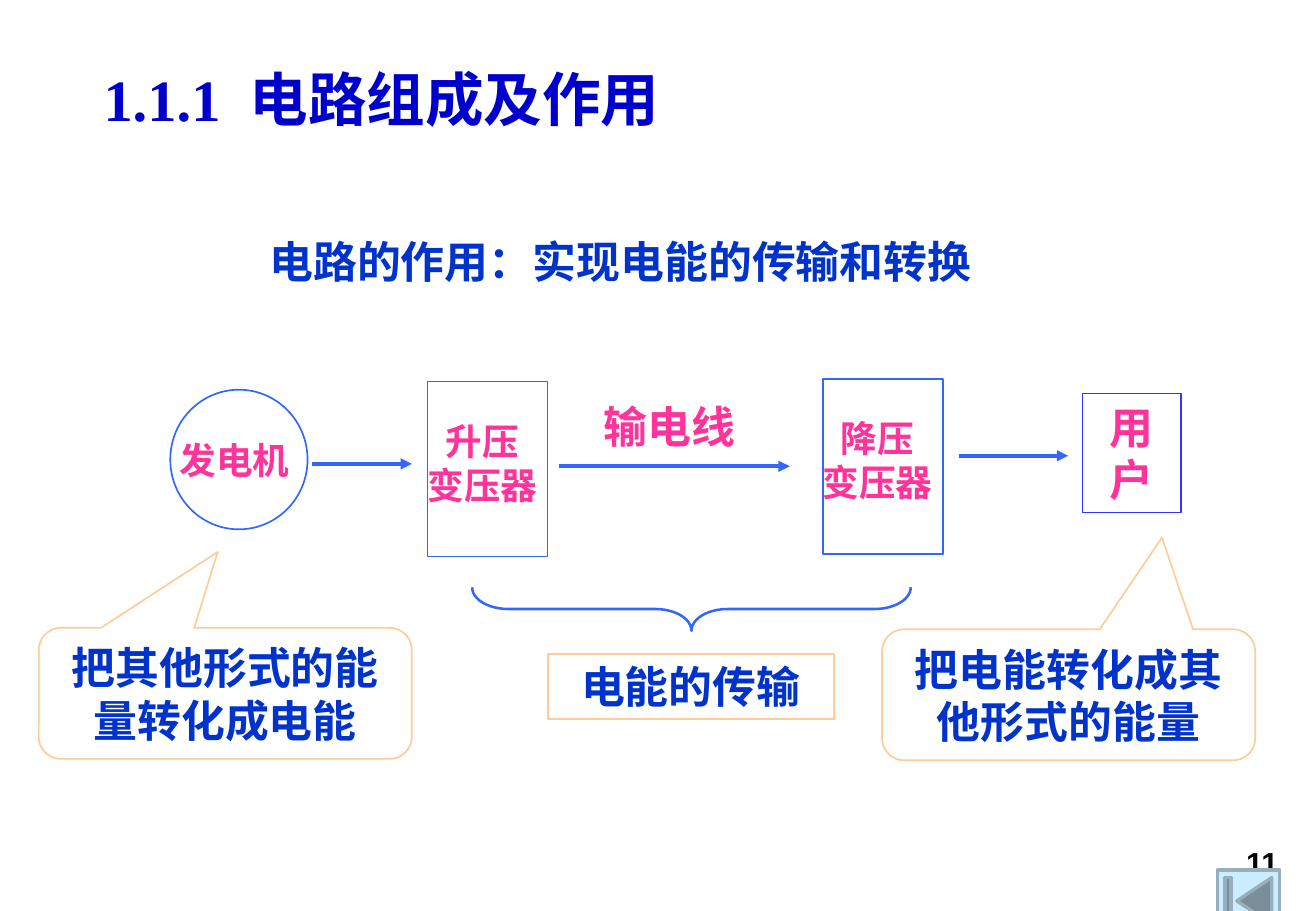
from pptx import Presentation
from pptx.dml.color import RGBColor
from pptx.enum.shapes import MSO_CONNECTOR, MSO_SHAPE as Preset
from pptx.enum.text import MSO_ANCHOR as Anchor, PP_ALIGN as Align
from pptx.oxml.ns import qn
from pptx.util import Cm, Pt
from lxml.etree import SubElement

NAVY, BLUE, PINK = "0000CC", "0033CC", "FF3399"
SKY, ROYAL, PEACH = "3366FF", "3333FF", "FFCC99"

# Boxes are (left, top, width, height) in cm
HEADING = ("1.1.1", "电路组成及作用")
HEADING_BOX = (1.91, 1.19, 18.14, 1.73)

# text, box, size, colour, alignment, font
LABELS = [
    ("11", (19.38, 17.53, 7.59, 1.02), 18, "000000", Align.RIGHT, "Arial"),
    ("电路的作用：实现电能的传输和转换", (5.38, 4.78, 16.61, 1.37), 26, BLUE,
     Align.LEFT, "Times New Roman"),
    ("输电线", (12.17, 8.23, 3.66, 1.37), 26, PINK, Align.CENTER, "Times New Roman"),
]

# Text of the narrow stages does not wrap and sits slightly up or left:
# text, preset, box, right inset, bottom inset
NARROW_STAGES = [
    ("发电机", Preset.OVAL, (3.56, 8.15, 2.87, 2.92), 0.18, 0),
    ("升压\v变压器", Preset.RECTANGLE, (8.94, 7.98, 2.51, 3.66), 0.22, 0.28),
    ("降压\v变压器", Preset.RECTANGLE, (17.2, 7.92, 2.51, 3.66), 0.22, 0.28),
]

# text, preset, box, adjustments, line colour, text colour
NOTES = [
    ("用户", Preset.RECTANGLE, (22.63, 8.23, 2.06, 2.49), (), ROYAL, PINK),
    ("电能的传输", Preset.RECTANGLE, (11.46, 13.67, 5.97, 1.37), (), PEACH, BLUE),
    ("把其他形式的能量转化成电能", Preset.ROUNDED_RECTANGULAR_CALLOUT,
     (0.81, 13.13, 7.8, 2.74), (-0.02, -1.08, 0.17), PEACH, BLUE),
    ("把电能转化成其他形式的能量", Preset.ROUNDED_RECTANGULAR_CALLOUT,
     (18.44, 13.16, 7.8, 2.74), (0.25, -1.2, 0.17), PEACH, BLUE),
]

ARROWS = [(6.53, 8.61, 9.7), (11.68, 16.51, 9.75), (20.04, 22.33, 9.53)]  # start, end, y
BRACE_BOX = (14, 8.15, 0.91, 9.17)
BACK_BUTTON_BOX = (25.45, 18.19, 1.3, 1.3)


def rgb(value):
    return RGBColor.from_string(value)


def apply(target, formats):
    for name, value in formats.items():
        setattr(target, name, value)


def write(frame, text, size, color, align=Align.CENTER, font="Times New Roman", **formats):
    apply(frame, {"word_wrap": True, "vertical_anchor": Anchor.MIDDLE, **formats})
    paragraph = frame.paragraphs[0]
    paragraph.alignment = align
    apply(paragraph.font, {"size": Pt(size), "bold": True, "name": font})
    paragraph.font.color.rgb = rgb(color)
    paragraph.text = text


def outline(slide, preset, box, color, weight=1, adjustments=()):
    """Add an unfilled preset shape with a thin line."""
    shape = slide.shapes.add_shape(preset, *map(Cm, box))
    shape.shadow.inherit = False
    shape.fill.background()
    shape.line.color.rgb = rgb(color)
    shape.line.width = Pt(weight)
    for index, value in enumerate(adjustments):
        shape.adjustments[index] = value
    return shape


def add_heading(slide):
    heading = slide.shapes.title
    apply(heading, dict(zip(("left", "top", "width", "height"), map(Cm, HEADING_BOX))))
    number, words = HEADING
    write(heading.text_frame, number, 34.7, NAVY, Align.LEFT)
    paragraph = heading.text_frame.paragraphs[0]
    gap = paragraph.add_run()
    gap.text = " "
    gap.font._element.set("spc", "870")  # widen the gap after the number
    paragraph.add_run().text = words


def add_arrow(slide, start, end, y):
    arrow = slide.shapes.add_connector(
        MSO_CONNECTOR.STRAIGHT, Cm(start), Cm(y), Cm(end), Cm(y))
    arrow.line.color.rgb = rgb(SKY)
    arrow.line.width = Pt(2.25)
    SubElement(arrow.line._get_or_add_ln(), qn("a:tailEnd"), type="triangle")
    SubElement(arrow._element.spPr, qn("a:effectLst"))


def main():
    deck = Presentation()
    deck.slide_width, deck.slide_height = Cm(27.51), Cm(19.05)
    slide = deck.slides.add_slide(deck.slide_layouts[5])

    add_heading(slide)
    for text, box, size, color, align, font in LABELS:
        label = slide.shapes.add_textbox(*map(Cm, box))
        write(label.text_frame, text, size, color, align, font, vertical_anchor=Anchor.TOP)

    for text, preset, box, right, bottom in NARROW_STAGES:
        stage = outline(slide, preset, box, SKY)
        write(stage.text_frame, text, 21.7, PINK, word_wrap=False, margin_left=0,
              margin_top=0, margin_right=Cm(right), margin_bottom=Cm(bottom))

    for text, preset, box, adjustments, line_color, text_color in NOTES:
        note = outline(slide, preset, box, line_color, adjustments=adjustments)
        write(note.text_frame, text, 26, text_color)

    for start, end, y in ARROWS:
        add_arrow(slide, start, end, y)

    brace = outline(slide, Preset.LEFT_BRACE, BRACE_BOX, SKY, 1.5, (0.83, 0.5))
    brace.rotation = 270

    back = outline(slide, Preset.ACTION_BUTTON_BEGINNING, BACK_BUTTON_BOX, "97AFBD", 2)
    back.fill.solid()
    back.fill.fore_color.rgb = rgb("CCECFF")

    deck.save("out.pptx")


if __name__ == "__main__":
    main()
